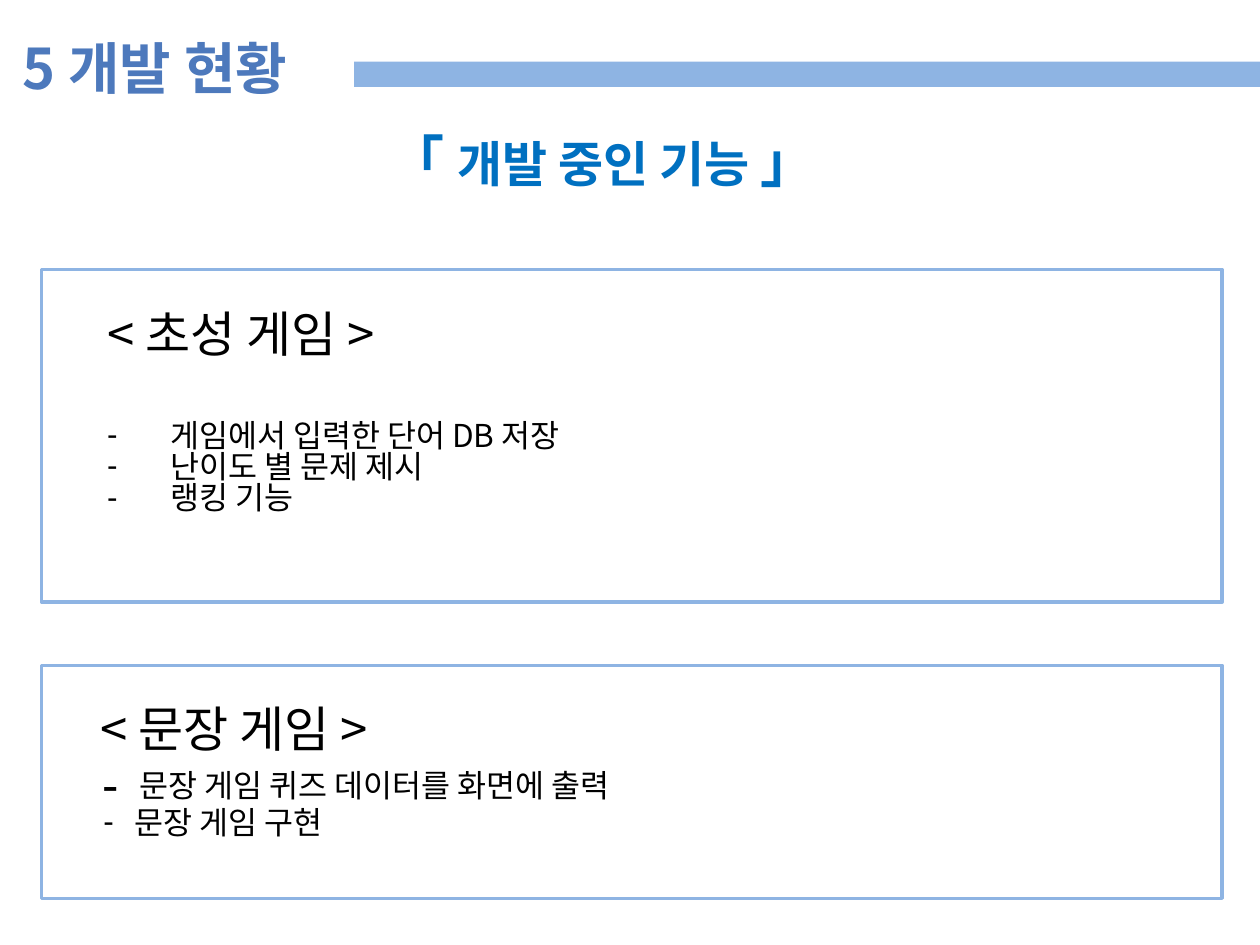
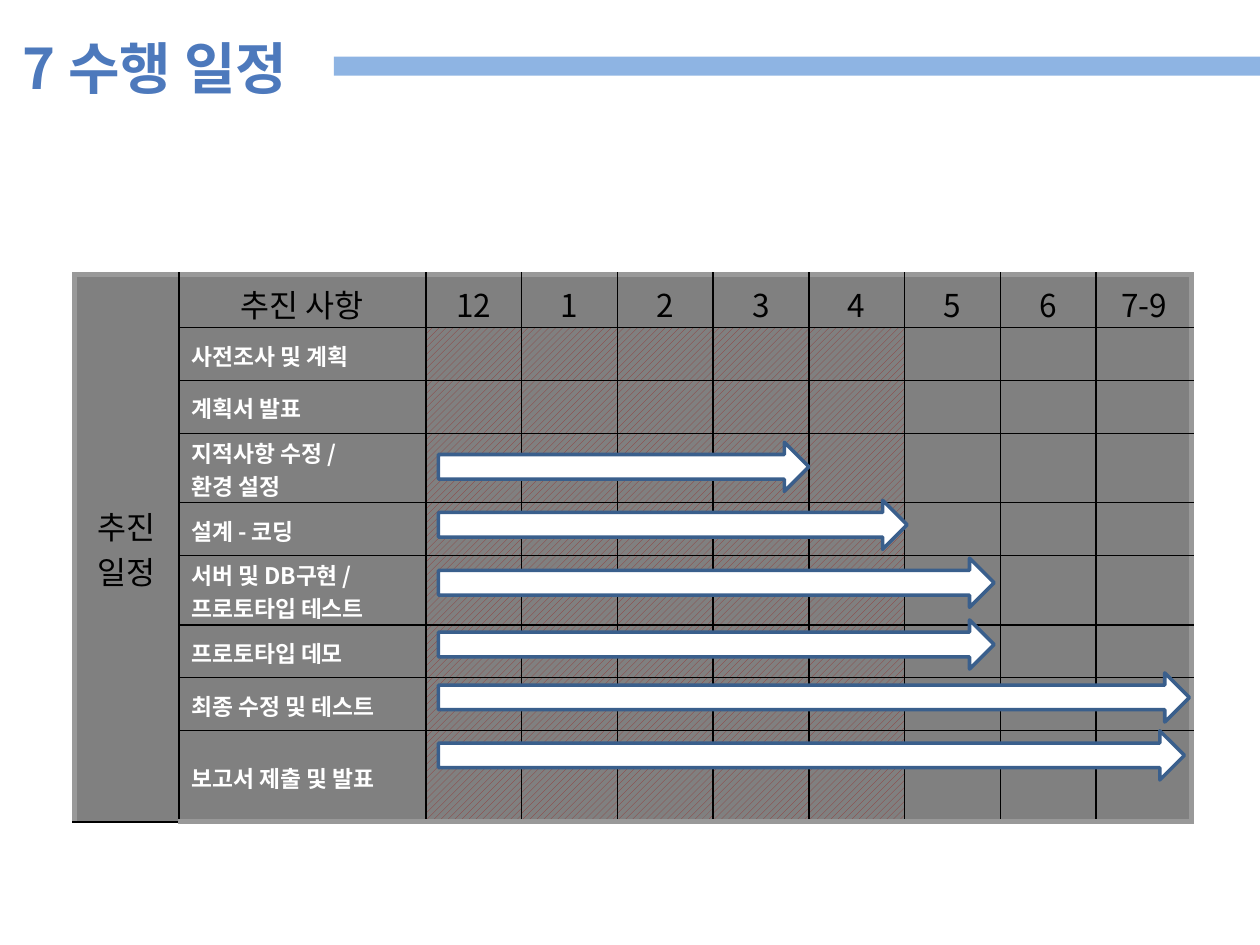
from lxml import etree
from pptx import Presentation
from pptx.dml.color import RGBColor
from pptx.enum import dml, shapes, text
from pptx.oxml import ns
from pptx.util import Inches, Pt

FONT = "Noto Sans CJK KR"
TITLE_BLUE = RGBColor(0x4D, 0x79, 0xBC)
BAND_BLUE = RGBColor(0x8E, 0xB4, 0xE3)
HEADING_BLUE = RGBColor(0x00, 0x70, 0xC0)
ARROW_EDGE = RGBColor(0x3A, 0x5F, 0x8C)
GRAY = RGBColor(0x80, 0x80, 0x80)
FRAME_GRAY = RGBColor(0x99, 0x99, 0x99)
HATCH_RED = RGBColor(0x95, 0x37, 0x35)
BLACK = RGBColor(0, 0, 0)
WHITE = RGBColor(0xFF, 0xFF, 0xFF)

COLUMNS = [0.83, 1.96] + [0.76] * 8
ROWS = [0.42, 0.42, 0.42, 0.55, 0.42, 0.55, 0.42, 0.42, 0.69]
MONTHS = ["12", "1", "2", "3", "4", "5", "6", "7-9"]
HATCHED_MONTHS = 5
TASKS = [
    "사전조사 및 계획",
    "계획서 발표",
    "지적사항 수정 /\n환경 설정",
    "설계 - 코딩",
    "서버 및 DB구현 /\n프로토타입 테스트",
    "프로토타입 데모",
    "최종 수정 및 테스트",
    "보고서 제출 및 발표",
]
# top and length of each progress arrow
PROGRESS = [(3.51, 2.94), (3.97, 3.72), (4.43, 4.41),
            (4.92, 4.41), (5.34, 5.96), (5.8, 5.92)]


def place(shape, left, top, width, height):
    shape.left, shape.top = Inches(left), Inches(top)
    shape.width, shape.height = Inches(width), Inches(height)


def add_child(parent, tag, **attributes):
    return etree.SubElement(parent, ns.qn(tag), **attributes)


def write(paragraph, content, size=18, color=BLACK, bold=False, align=None):
    run = paragraph.add_run()
    run.text = content
    font = run.font
    font.size, font.bold, font.name = Pt(size), bold, FONT
    font.color.rgb = color
    add_child(run._r.get_or_add_rPr(), "a:ea", typeface=FONT)
    if align is not None:
        paragraph.alignment = align


def add_block(slide, kind, box, fill=None, line=None):
    block = slide.shapes.add_shape(kind, *map(Inches, box))
    block.shadow.inherit = False
    if fill is None:
        block.fill.background()
    else:
        block.fill.solid()
        block.fill.fore_color.rgb = fill
    if line is None:
        block.line.fill.background()
    else:
        block.line.color.rgb = line
        block.line.width = Pt(2)


def add_titled_slide(prs, layout, title, band):
    """Add a slide with its title and the band that runs to the right edge."""
    slide = prs.slides.add_slide(prs.slide_layouts[layout])
    left, top, height = band
    add_block(slide, shapes.MSO_SHAPE.RECTANGLE,
              (left, top, 10 - left, height), fill=BAND_BLUE)
    heading = slide.shapes.title
    place(heading, 0.08, 0.21, 2.57, 0.64)
    heading.text_frame.auto_size = text.MSO_AUTO_SIZE.NONE
    write(heading.text_frame.paragraphs[0], title, size=32, color=TITLE_BLUE,
          bold=True, align=text.PP_ALIGN.LEFT)
    return slide


def add_section_heading(slide, box):
    frame = slide.shapes.add_textbox(*map(Inches, box)).text_frame
    frame.word_wrap = True
    paragraph = frame.paragraphs[0]
    paragraph.line_spacing = 1.5
    for part, size in [("「 ", 32), ("개발 중인 기능 ", 28), ("」", 32)]:
        write(paragraph, part, size=size, color=HEADING_BLUE, bold=True,
              align=text.PP_ALIGN.CENTER)


def set_bullet(paragraph, margin, hang=0, percent=100):
    """Indent a paragraph; a hang above zero gives it a dash."""
    props = paragraph._p.get_or_add_pPr()
    props.set("marL", str(Inches(margin)))
    props.set("indent", str(-Inches(hang)))
    if hang:
        add_child(props, "a:buSzPct", val=str(percent * 1000))
        add_child(props, "a:buChar", char="-")
    else:
        add_child(props, "a:buNone")


def fill_feature_list(holder, box, heading, heading_margin, items):
    """items: (content, space before, margin, hang, dash size in percent)"""
    place(holder, *box)
    frame = holder.text_frame
    frame.auto_size = text.MSO_AUTO_SIZE.NONE
    lines = [(heading, 28, 0, heading_margin, 0, 100)]
    lines += [(content, 18, *layout) for content, *layout in items]
    for i, (content, size, before, margin, hang, percent) in enumerate(lines):
        paragraph = frame.add_paragraph() if i else frame.paragraphs[0]
        paragraph.line_spacing = 0.83
        paragraph.space_before = Pt(before)
        set_bullet(paragraph, margin, hang, percent)
        write(paragraph, content, size=size)


def set_borders(cell, outer_sides):
    """Draw thin black borders, with thick gray ones on the outer sides."""
    props = cell._tc.get_or_add_tcPr()
    for i, side in enumerate("LRTB"):
        width, color = (3, FRAME_GRAY) if side in outer_sides else (1, BLACK)
        line = etree.Element(ns.qn(f"a:ln{side}"), w=str(Pt(width)))
        add_child(add_child(line, "a:solidFill"), "a:srgbClr", val=str(color))
        props.insert(i, line)


def fill_cell(cell, hatched):
    if hatched:
        cell.fill.patterned()
        cell.fill.pattern = dml.MSO_PATTERN.WIDE_UPWARD_DIAGONAL
        cell.fill.fore_color.rgb = HATCH_RED
        cell.fill.back_color.rgb = GRAY
    else:
        cell.fill.solid()
        cell.fill.fore_color.rgb = GRAY


def add_schedule(slide, left, top):
    table = slide.shapes.add_table(
        len(ROWS), len(COLUMNS), Inches(left), Inches(top),
        Inches(sum(COLUMNS)), Inches(sum(ROWS))).table
    table.first_row = table.horz_banding = False
    for column, width in zip(table.columns, COLUMNS):
        column.width = Inches(width)
    for row, height in zip(table.rows, ROWS):
        row.height = Inches(height)

    last_row, last_column = len(ROWS) - 1, len(COLUMNS) - 1
    for r in range(len(ROWS)):
        for c in range(len(COLUMNS)):
            cell = table.cell(r, c)
            cell.margin_top, cell.margin_bottom = Inches(0.05), 0
            fill_cell(cell, r > 0 and 2 <= c < 2 + HATCHED_MONTHS)
            edges = {"L": c == 0, "R": c == last_column,
                     "T": r == 0, "B": r == last_row}
            set_borders(cell, [side for side in edges if edges[side]])

    center = text.PP_ALIGN.CENTER
    schedule_label = table.cell(0, 0)
    schedule_label.merge(table.cell(last_row, 0))
    schedule_label.margin_top = 0
    schedule_label.vertical_anchor = text.MSO_ANCHOR.MIDDLE
    write(schedule_label.text_frame.paragraphs[0], "추진 일정", align=center)
    for c, header in enumerate(["추진 사항"] + MONTHS, start=1):
        write(table.cell(0, c).text_frame.paragraphs[0], header, align=center)
    for r, task in enumerate(TASKS, start=1):
        cell = table.cell(r, 1)
        cell.margin_top = Inches(0.02)
        cell.vertical_anchor = text.MSO_ANCHOR.MIDDLE
        frame = cell.text_frame
        for i, line in enumerate(task.split("\n")):
            paragraph = frame.add_paragraph() if i else frame.paragraphs[0]
            write(paragraph, line, size=13, color=WHITE, bold=True)


def build_status_slide(prs):
    slide = add_titled_slide(prs, 3, "5 개발 현황", (2.81, 0.49, 0.2))
    add_section_heading(slide, (2.7, 0.69, 4.17, 0.8))
    fill_feature_list(
        slide.placeholders[1], (0.75, 2.44, 8.74, 1.95), "< 초성 게임 >", 0,
        [("게임에서 입력한 단어 DB 저장", 34, 0.5, 0.5, 100),
         ("난이도 별 문제 제시", 0, 0.5, 0.5, 100),
         ("랭킹 기능", 0, 0.5, 0.5, 100)])
    fill_feature_list(
        slide.placeholders[2], (0.61, 5.57, 8.82, 1.35), "< 문장 게임 >", 0.09,
        [("문장 게임 퀴즈 데이터를 화면에 출력", 9, 0.4, 0.3, 156),
         ("문장 게임 구현", 3, 0.36, 0.25, 100)])
    for top, height in [(2.14, 2.64), (5.28, 1.85)]:
        add_block(slide, shapes.MSO_SHAPE.RECTANGLE,
                  (0.33, top, 9.37, height), line=BAND_BLUE)


def build_schedule_slide(prs):
    slide = add_titled_slide(prs, 5, "7 수행 일정", (2.65, 0.45, 0.15))
    add_schedule(slide, 0.59, 2.18)
    for top, length in PROGRESS:
        add_block(slide, shapes.MSO_SHAPE.RIGHT_ARROW,
                  (3.48, top, length, 0.39), fill=WHITE, line=ARROW_EDGE)


def main():
    prs = Presentation()
    prs.slide_width, prs.slide_height = Inches(10), Inches(7.5)
    build_status_slide(prs)
    build_schedule_slide(prs)
    prs.save("out.pptx")


if __name__ == "__main__":
    main()
